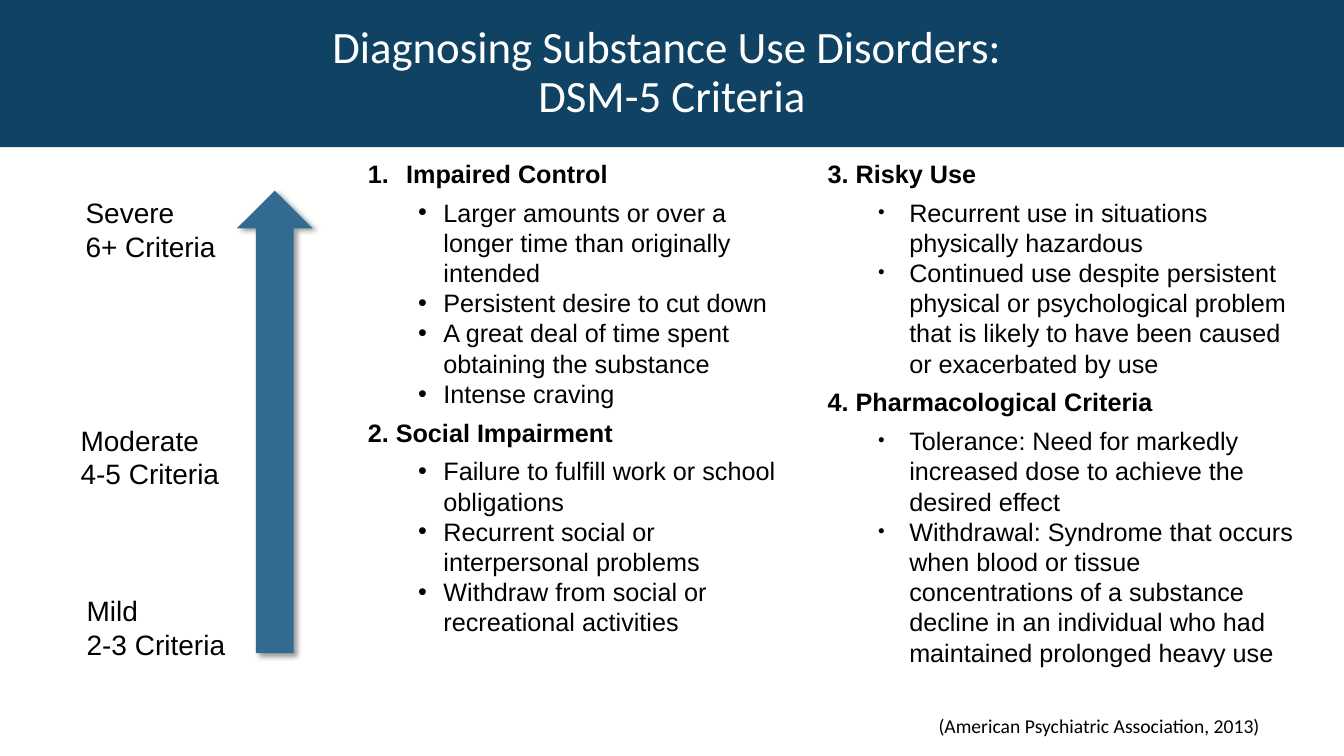
from lxml import etree
from pptx import Presentation
from pptx.dml.color import RGBColor
from pptx.enum import shapes, text
from pptx.oxml import ns
from pptx.util import Inches, Pt

NAVY = RGBColor(0x0F, 0x42, 0x63)
BLUE = RGBColor(0x33, 0x6B, 0x90)
BLACK = RGBColor(0, 0, 0)
WHITE = RGBColor(255, 255, 255)

LEFT = [
    ("Impaired Control", [
        "Larger amounts or over a longer time than originally intended",
        "Persistent desire to cut down",
        "A great deal of time spent obtaining the substance",
        "Intense craving"]),
    ("2. Social Impairment", [
        "Failure to fulfill work or school obligations",
        "Recurrent social or interpersonal problems",
        "Withdraw from social or recreational activities"]),
]
RIGHT = [
    ("3. Risky Use", [
        "Recurrent use in situations physically hazardous",
        "Continued use despite persistent physical or psychological problem "
        "that is likely to have been caused or exacerbated by use"]),
    ("4. Pharmacological Criteria", [
        "Tolerance: Need for markedly increased dose to achieve the desired effect",
        "Withdrawal: Syndrome that occurs when blood or tissue concentrations of a "
        "substance decline in an individual who had maintained prolonged heavy use"]),
]
LEVELS = [
    (0.75, 1.89, 1.5, "Severe", "6+ Criteria"),
    (0.7, 4.15, 1.59, "Moderate", "4-5 Criteria"),
    (0.76, 5.84, 1.59, "Mild", "2-3 Criteria"),
]


def add(parent, tag, **attrs):
    return etree.SubElement(parent, ns.qn(tag), attrs)


def mark(para, indent, hang, scale=None, number=False):
    props = para._p.get_or_add_pPr()
    props.set("marL", str(Inches(indent)))
    props.set("indent", str(-Inches(hang)))
    if scale:
        add(props, "a:buSzPct", val=str(scale * 1000))
    add(props, "a:buFont", typeface="Arial")
    if number:
        add(props, "a:buAutoNum", type="arabicPeriod")
    else:
        add(props, "a:buChar", char="•")


def write(frame, words, first=False, bullet=None, size=18, face="Arial",
          color=BLACK, bold=False, align=None, line=None, before=0, after=0, level=0):
    para = frame.paragraphs[0] if first else frame.add_paragraph()
    para.level = level
    if bullet:
        mark(para, **bullet)
    para.alignment = align
    para.line_spacing = line
    para.space_before = Pt(0 if first else before)
    para.space_after = Pt(after)
    run = para.add_run()
    run.text = words
    font = run.font
    font.size, font.name, font.bold = Pt(size), face, bold
    font.color.rgb = color


def frame_in(slide, box, wrap=True):
    frame = slide.shapes.add_textbox(*map(Inches, box)).text_frame
    frame.word_wrap = wrap
    return frame


def banner(slide, box):
    title = slide.shapes.title
    title.left, title.top, title.width, title.height = map(Inches, box)
    title.fill.solid()
    title.fill.fore_color.rgb = NAVY
    frame = title.text_frame
    frame.auto_size = text.MSO_AUTO_SIZE.NONE
    frame.vertical_anchor = text.MSO_ANCHOR.MIDDLE
    for i, words in enumerate(["Diagnosing Substance Use Disorders: ", "DSM-5 Criteria"]):
        write(frame, words, first=i == 0, size=32, face="Calibri", color=WHITE,
              align=text.PP_ALIGN.CENTER, line=0.9)


def column(slide, box, groups, bullet, number=None):
    frame = frame_in(slide, box)
    for i, (head, items) in enumerate(groups):
        write(frame, head, first=i == 0, bold=True, before=6, after=6,
              bullet=number if i == 0 else None)
        for item in items:
            write(frame, item, level=1, bullet=bullet)


def arrow(slide, box):
    shape = slide.shapes.add_shape(shapes.MSO_SHAPE.UP_ARROW, *map(Inches, box))
    shape.fill.solid()
    shape.fill.fore_color.rgb = BLUE
    shape.line.fill.background()
    shape.shadow.inherit = False
    effects = shape._element.spPr.find(ns.qn("a:effectLst"))
    shade = add(effects, "a:outerShdw", blurRad=str(Pt(4)), dist=str(Pt(3)),
                dir=str(45 * 60000), algn="tl", rotWithShape="0")
    tint = add(shade, "a:srgbClr", val="000000")
    add(tint, "a:alpha", val="40000")


def scale(slide, levels):
    for left, top, width, name, count in levels:
        frame = frame_in(slide, (left, top, width, 0.77), wrap=False)
        write(frame, name, first=True, size=20)
        write(frame, count, size=20)


def source(slide, box):
    write(frame_in(slide, box), "(American Psychiatric Association, 2013)",
          first=True, size=14, face="Calibri")


def main():
    deck = Presentation()
    deck.slide_width, deck.slide_height = Inches(13.33), Inches(7.5)
    slide = deck.slides.add_slide(deck.slide_layouts[5])
    banner(slide, (0, 0, 13.33, 1.46))
    column(slide, (3.55, 1.52, 4.5, 5.29), LEFT, dict(indent=0.75, hang=0.25),
           number=dict(indent=0.38, hang=0.38, number=True))
    column(slide, (8.11, 1.52, 4.89, 5.98), RIGHT, dict(indent=0.81, hang=0.31, scale=75))
    arrow(slide, (2.35, 1.89, 0.75, 4.59))
    scale(slide, LEVELS)
    source(slide, (9.21, 7.03, 3.92, 0.34))
    deck.save("out.pptx")


if __name__ == "__main__":
    main()
